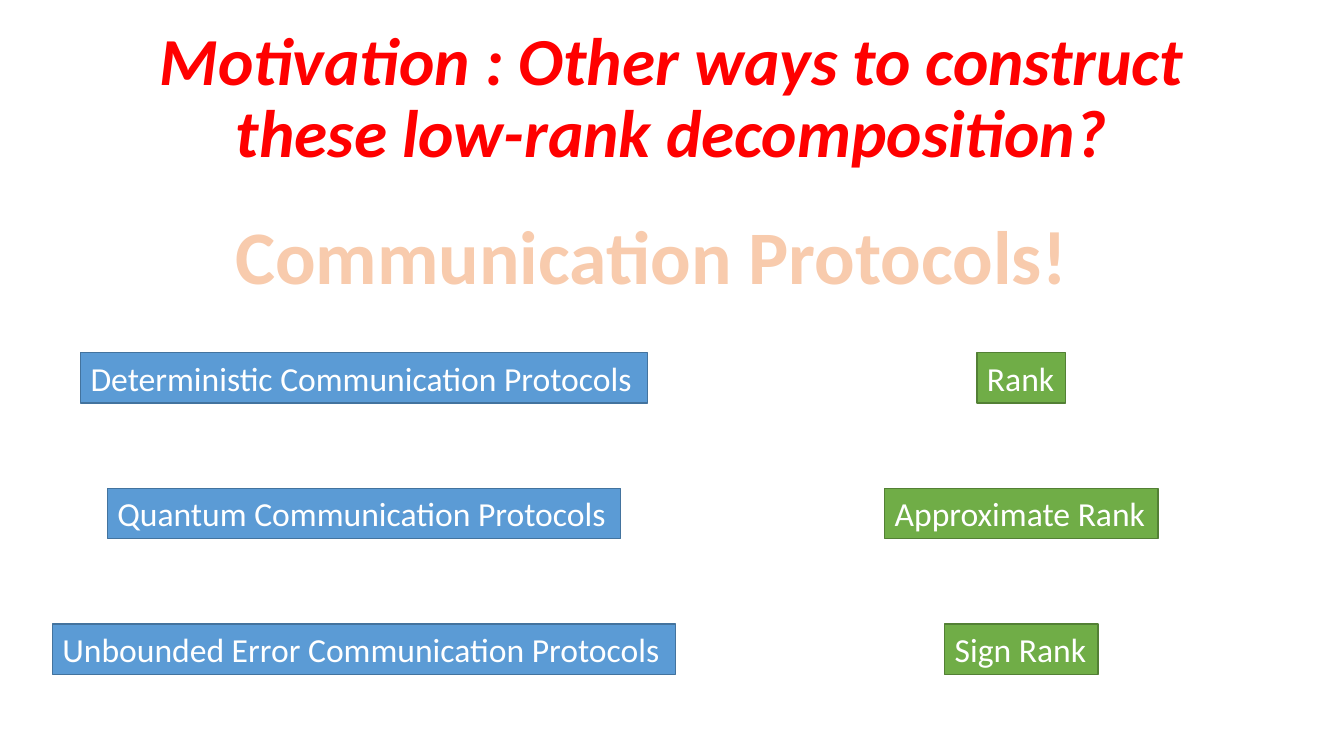
from dataclasses import dataclass

from lxml import etree
from pptx import Presentation
from pptx.dml.color import RGBColor
from pptx.enum.shapes import MSO_SHAPE
from pptx.enum.text import MSO_ANCHOR, PP_ALIGN
from pptx.oxml.ns import qn
from pptx.util import Inches, Pt

RECTANGLE = MSO_SHAPE.RECTANGLE
BOTTOM, MIDDLE = MSO_ANCHOR.BOTTOM, MSO_ANCHOR.MIDDLE
CENTER, LEFT = PP_ALIGN.CENTER, PP_ALIGN.LEFT
TITLE_ONLY = 5


@dataclass(frozen=True)
class Theme:
    font: str = "Calibri"
    title_size: int = 48
    headline_size: int = 54
    label_size: int = 24
    title: str = "FF0000"
    headline: str = "F8CBAD"
    headline_outline: str = "ED7D31"
    label: str = "FFFFFF"
    protocol_fill: str = "5B9BD5"
    protocol_line: str = "43739E"
    rank_fill: str = "70AD47"
    rank_line: str = "538035"


THEME = Theme()

# Grid in inches: two columns by centre, three evenly spaced rows
PROTOCOL_CENTER, RANK_CENTER = 3.61, 10.13
FIRST_ROW, LAST_ROW = 3.5, 6.19
LABEL_HEIGHT = 0.5

# Each row pairs a protocol with its rank; numbers are box widths
PAIRS = [
    ("Deterministic Communication Protocols", 5.62, "Rank", 0.88),
    ("Quantum Communication Protocols", 5.09, "Approximate Rank", 2.71),
    ("Unbounded Error Communication Protocols", 6.18, "Sign Rank", 1.52),
]


def format_paragraph(paragraph, size, color, alignment, bold=False, italic=False):
    paragraph.alignment = alignment
    font = paragraph.font
    font.name, font.size = THEME.font, Pt(size)
    font.bold, font.italic = bold, italic
    font.color.rgb = RGBColor.from_string(color)


def outline_text(run, color, width):
    properties = run._r.get_or_add_rPr()
    line = etree.Element(qn("a:ln"), w=str(Pt(width)))
    fill = etree.SubElement(line, qn("a:solidFill"))
    etree.SubElement(fill, qn("a:srgbClr"), val=color)
    properties.insert(0, line)


def add_title(slide, text):
    title = slide.shapes.title
    title.left, title.top = Inches(0.15), Inches(0.32)
    title.width, title.height = Inches(13.02), Inches(1.44)
    frame = title.text_frame
    frame.text = text
    frame.word_wrap = True
    frame.vertical_anchor = BOTTOM
    paragraph = frame.paragraphs[0]
    paragraph.line_spacing = 0.9
    format_paragraph(paragraph, THEME.title_size, THEME.title, CENTER, True, True)


def add_headline(slide, text):
    box = slide.shapes.add_textbox(
        Inches(2.19), Inches(2.02), Inches(8.54), Inches(1.01))
    frame = box.text_frame
    frame.text = text
    frame.word_wrap = True
    paragraph = frame.paragraphs[0]
    format_paragraph(paragraph, THEME.headline_size, THEME.headline, CENTER, True)
    outline_text(paragraph.runs[0], THEME.headline_outline, 1.75)


def add_label(slide, text, center, top, width, fill, line):
    shape = slide.shapes.add_shape(
        RECTANGLE, Inches(center - width / 2), Inches(top),
        Inches(width), Inches(LABEL_HEIGHT))
    shape.shadow.inherit = False
    shape.fill.solid()
    shape.fill.fore_color.rgb = RGBColor.from_string(fill)
    shape.line.color.rgb = RGBColor.from_string(line)
    shape.line.width = Pt(1)
    frame = shape.text_frame
    frame.text = text
    frame.word_wrap = True
    frame.margin_right = 0
    frame.vertical_anchor = MIDDLE
    format_paragraph(frame.paragraphs[0], THEME.label_size, THEME.label, LEFT)


def main():
    presentation = Presentation()
    presentation.slide_width = Inches(13.33)
    presentation.slide_height = Inches(7.5)
    slide = presentation.slides.add_slide(presentation.slide_layouts[TITLE_ONLY])

    # Heading
    add_title(slide, "Motivation : Other ways to construct\vthese low-rank decomposition?")
    add_headline(slide, "Communication Protocols!")

    # Protocols on the left, matching ranks on the right
    row_step = (LAST_ROW - FIRST_ROW) / (len(PAIRS) - 1)
    for row, (protocol, protocol_width, rank, rank_width) in enumerate(PAIRS):
        top = FIRST_ROW + row * row_step
        add_label(slide, protocol, PROTOCOL_CENTER, top, protocol_width,
                  THEME.protocol_fill, THEME.protocol_line)
        add_label(slide, rank, RANK_CENTER, top, rank_width,
                  THEME.rank_fill, THEME.rank_line)

    presentation.save("out.pptx")


if __name__ == "__main__":
    main()
